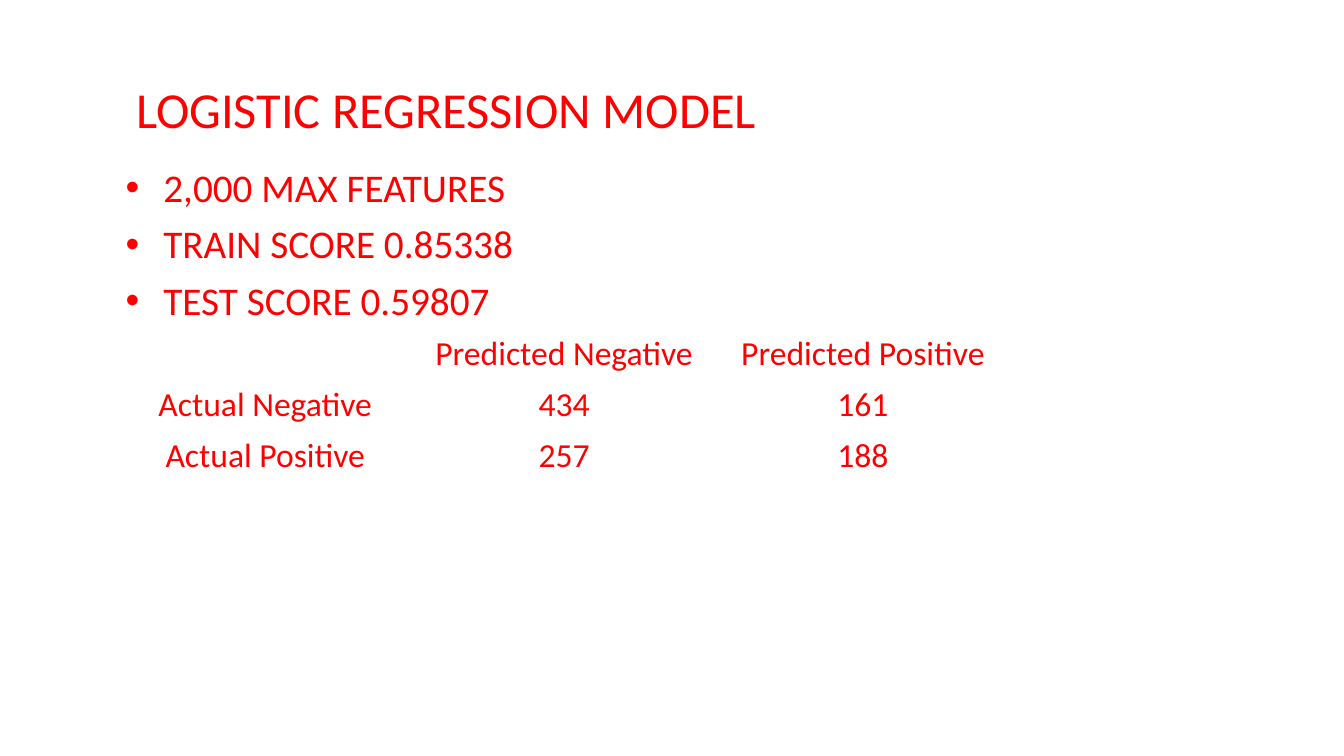
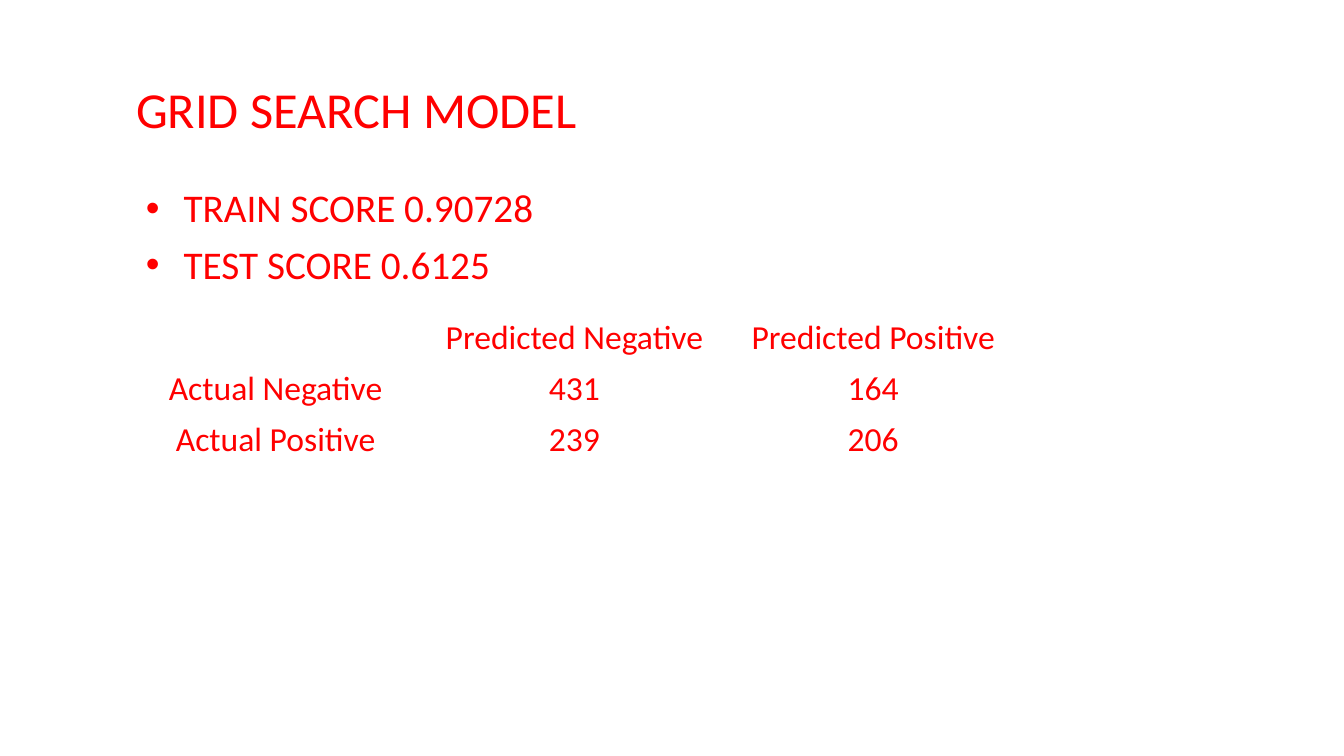
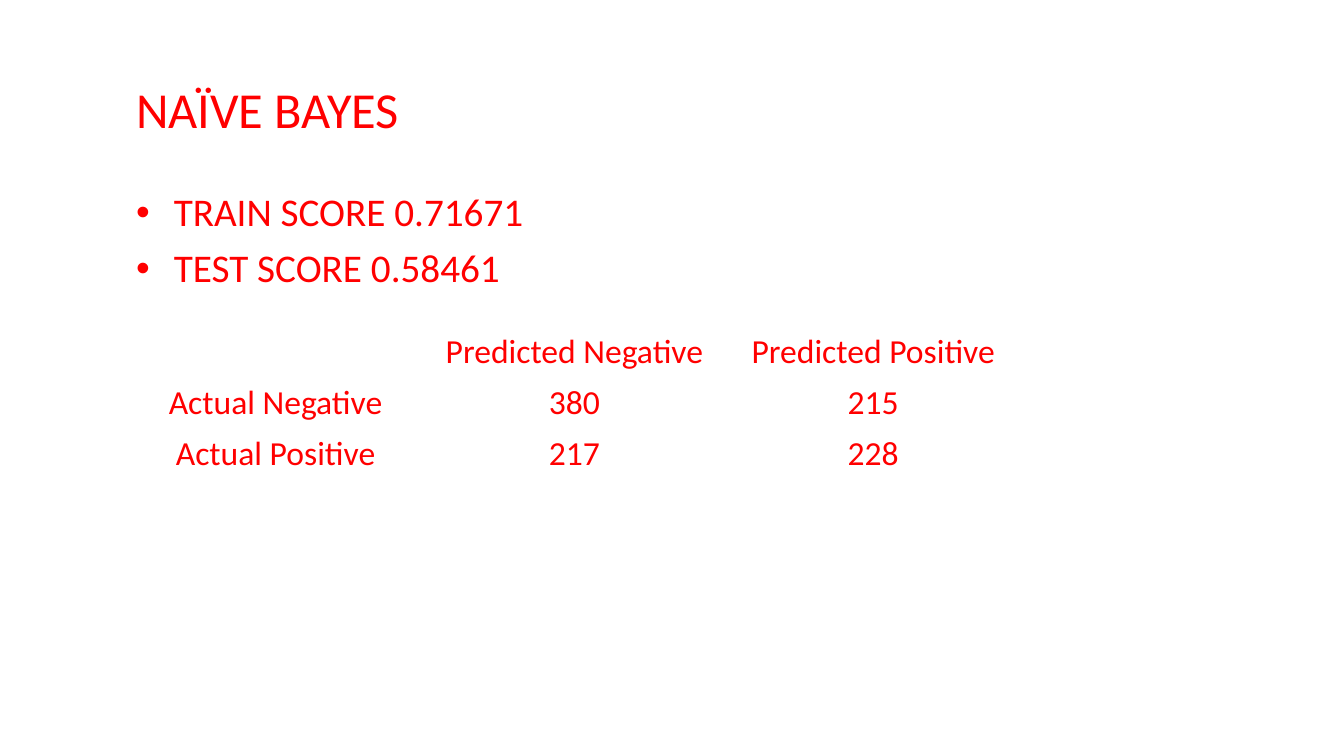
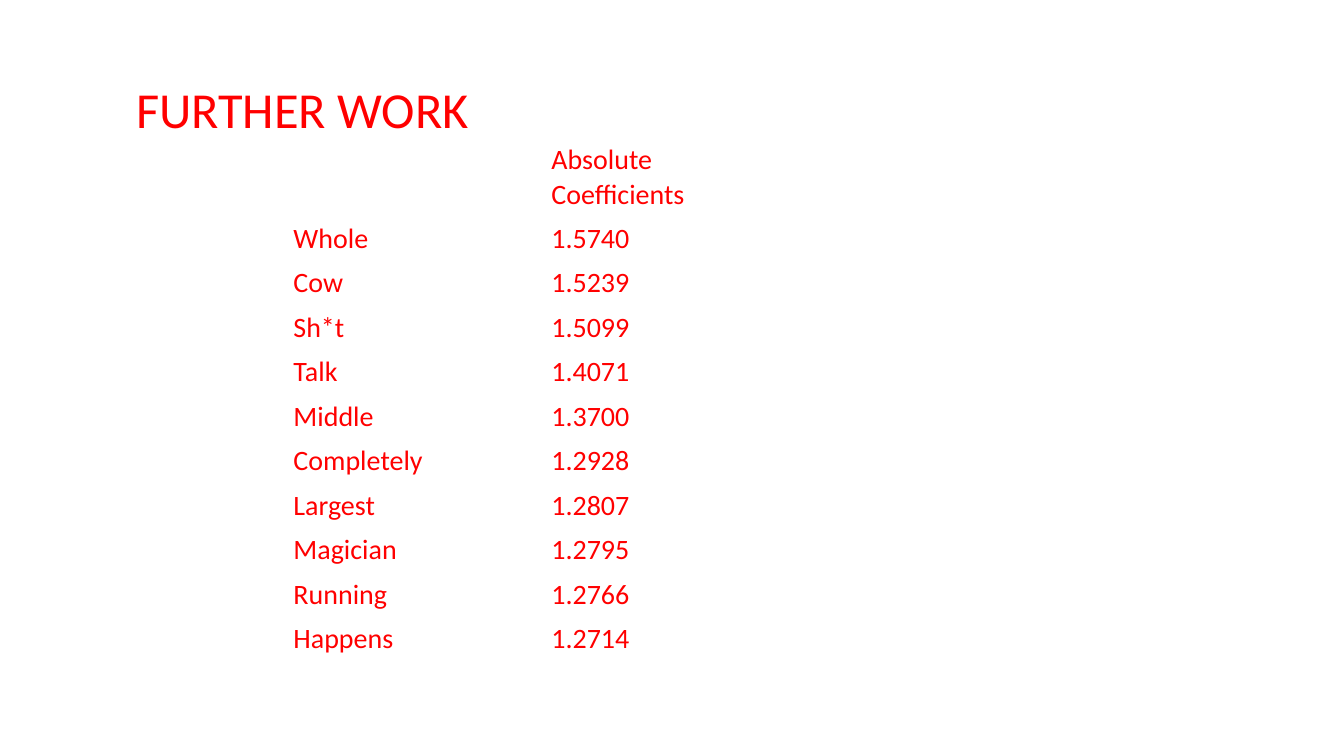
from dataclasses import dataclass

from lxml import etree
from pptx import Presentation
from pptx import util as u
from pptx.dml.color import RGBColor
from pptx.enum import text
from pptx.oxml import ns


@dataclass(frozen=True)
class Theme:
    font: str = "Calibri"
    ink: RGBColor = RGBColor(0xFF, 0x00, 0x00)
    title: int = 36
    score: int = 28
    matrix: int = 24
    words: int = 20


theme = Theme()


def add_line(paragraph, words, size):
    run = paragraph.add_run()
    run.text = words
    run.font.name = theme.font
    run.font.size = u.Pt(size)
    run.font.color.rgb = theme.ink


def add_plain_table(slide, rows, place, column_width, row_height, size, align):
    """Add a table without fills or header style; place is left and top in cm."""
    left, top = place
    columns = len(rows[0])
    table = slide.shapes.add_table(
        len(rows), columns, u.Cm(left), u.Cm(top),
        u.Cm(column_width * columns), u.Cm(row_height * len(rows))).table
    table.first_row = table.horz_banding = False
    for column in table.columns:
        column.width = u.Cm(column_width)
    for r, row in enumerate(rows):
        for c, words in enumerate(row):
            cell = table.cell(r, c)
            cell.fill.background()
            paragraph = cell.text_frame.paragraphs[0]
            paragraph.alignment = align
            if words:
                add_line(paragraph, words, size)
    return table


# Score box: left, top, width, height; matrix: left, top; all in cm
models = [
    dict(title="LOGISTIC REGRESSION MODEL",
         scores=["2,000 MAX FEATURES", "TRAIN SCORE 0.85338", "TEST SCORE 0.59807"],
         score_box=(2.92, 3.94, 22.58, 4.34), matrix_place=(2.92, 8.28),
         negative=["434", "161"], positive=["257", "188"]),
    dict(title="GRID SEARCH MODEL",
         scores=["TRAIN SCORE 0.90728", "TEST SCORE 0.6125"],
         score_box=(3.43, 3.56, 22.76, 3.81), matrix_place=(3.18, 7.87),
         negative=["431", "164"], positive=["239", "206"]),
    dict(title="NAÏVE BAYES",
         scores=["TRAIN SCORE 0.71671", "TEST SCORE 0.58461"],
         score_box=(3.18, 3.66, 22.76, 3.81), matrix_place=(3.18, 8.23),
         negative=["380", "215"], positive=["217", "228"]),
]
coefficients = [
    ("", "Absolute Coefficients"),
    ("Whole", "1.5740"),
    ("Cow", "1.5239"),
    ("Sh*t", "1.5099"),
    ("Talk", "1.4071"),
    ("Middle", "1.3700"),
    ("Completely", "1.2928"),
    ("Largest", "1.2807"),
    ("Magician", "1.2795"),
    ("Running", "1.2766"),
    ("Happens", "1.2714"),
]

deck = Presentation()
deck.slide_width, deck.slide_height = u.Cm(33.87), u.Cm(19.05)

# Titles
slides = []
for heading in [model["title"] for model in models] + ["FURTHER WORK"]:
    slide = deck.slides.add_slide(deck.slide_layouts[6])
    slides.append(slide)
    title = slide.shapes.add_textbox(u.Cm(3.18), u.Cm(1.7), u.Cm(20.93), u.Cm(2.24)).text_frame
    title.word_wrap = True
    title.vertical_anchor = text.MSO_ANCHOR.MIDDLE
    title.paragraphs[0].line_spacing = 0.9
    add_line(title.paragraphs[0], heading, theme.title)

# Scores and confusion matrix of each model
for slide, model in zip(slides, models):
    scores = slide.shapes.add_textbox(*map(u.Cm, model["score_box"])).text_frame
    scores.word_wrap = True
    scores.vertical_anchor = text.MSO_ANCHOR.BOTTOM
    for i, score in enumerate(model["scores"]):
        paragraph = scores.add_paragraph() if i else scores.paragraphs[0]
        properties = paragraph._p.get_or_add_pPr()
        properties.set("marL", str(u.Cm(0.95)))
        properties.set("indent", str(-u.Cm(0.95)))
        etree.SubElement(properties, ns.qn("a:buFont"), typeface="Arial")
        etree.SubElement(properties, ns.qn("a:buChar"), char="•")
        paragraph.line_spacing = 0.9
        if i:
            paragraph.space_before = u.Pt(10)
        add_line(paragraph, score, theme.score)

    matrix = [["", "Predicted Negative", "Predicted Positive"],
              ["Actual Negative", *model["negative"]],
              ["Actual Positive", *model["positive"]]]
    add_plain_table(slide, matrix, model["matrix_place"], 7.53, 1.29,
                    theme.matrix, text.PP_ALIGN.CENTER)

# Words with the largest coefficients
ranking = add_plain_table(slides[-1], coefficients, (7.14, 3.48), 6.5, 1.12,
                          theme.words, text.PP_ALIGN.LEFT)
ranking.rows[0].height = u.Cm(1.98)

deck.save("out.pptx")
